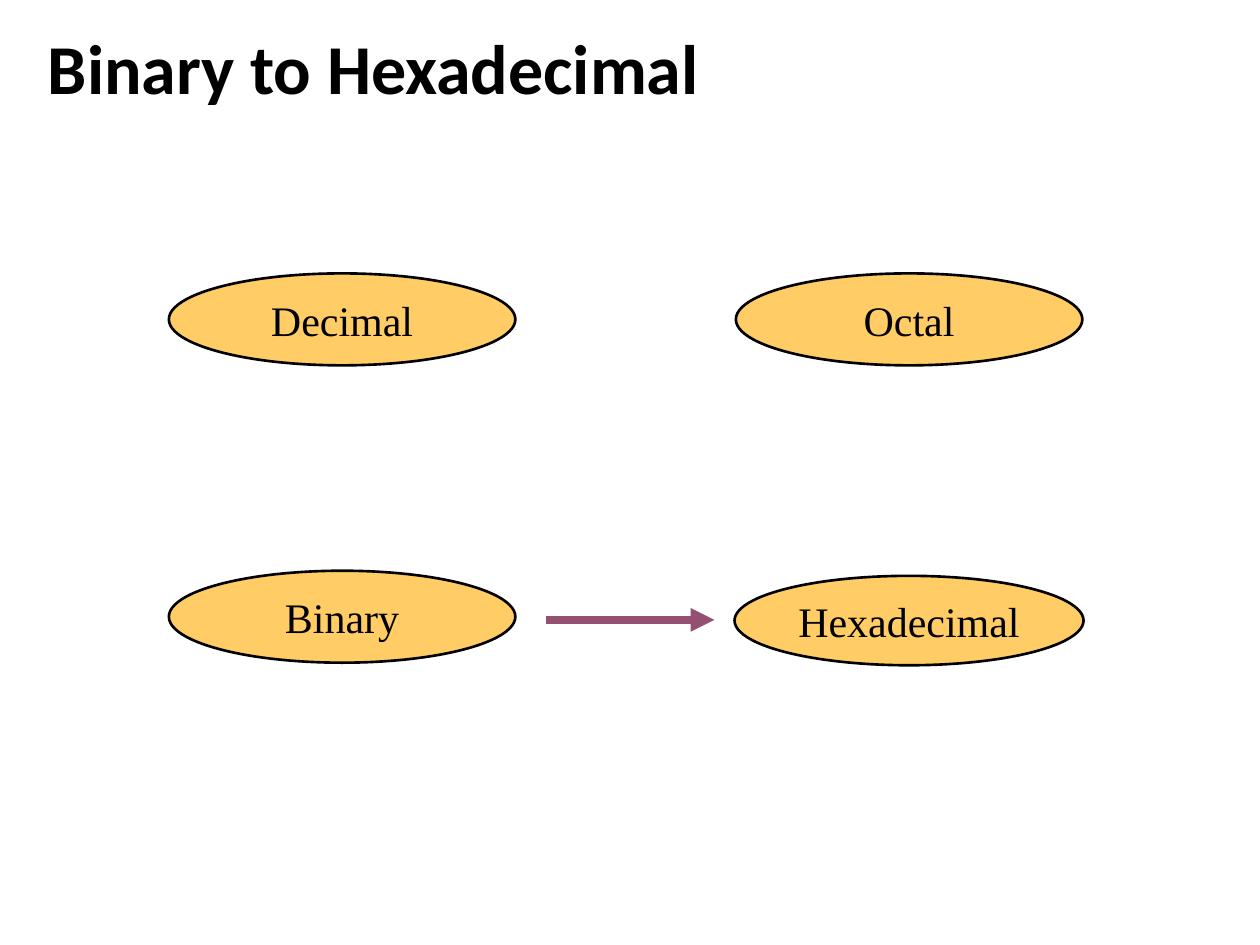
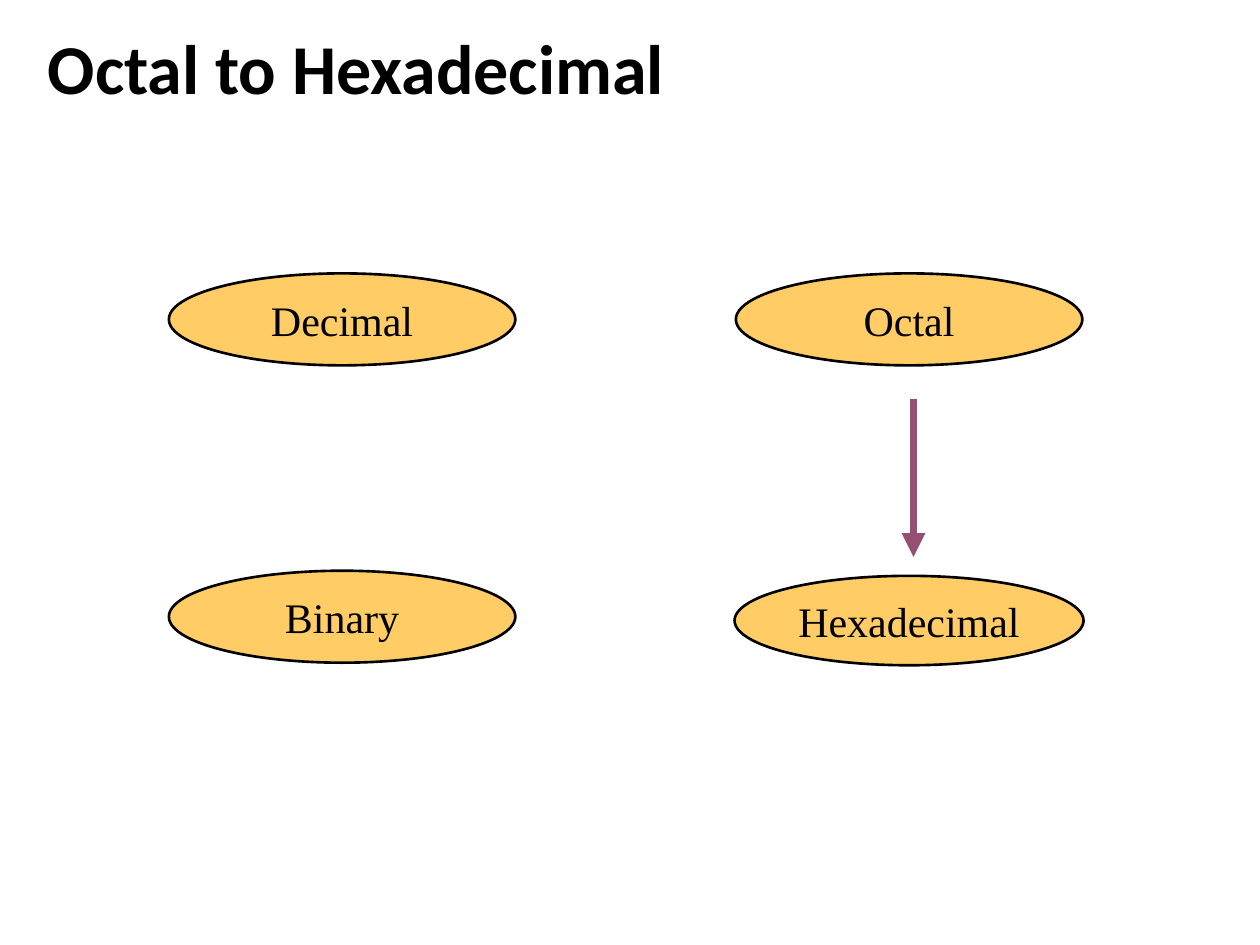
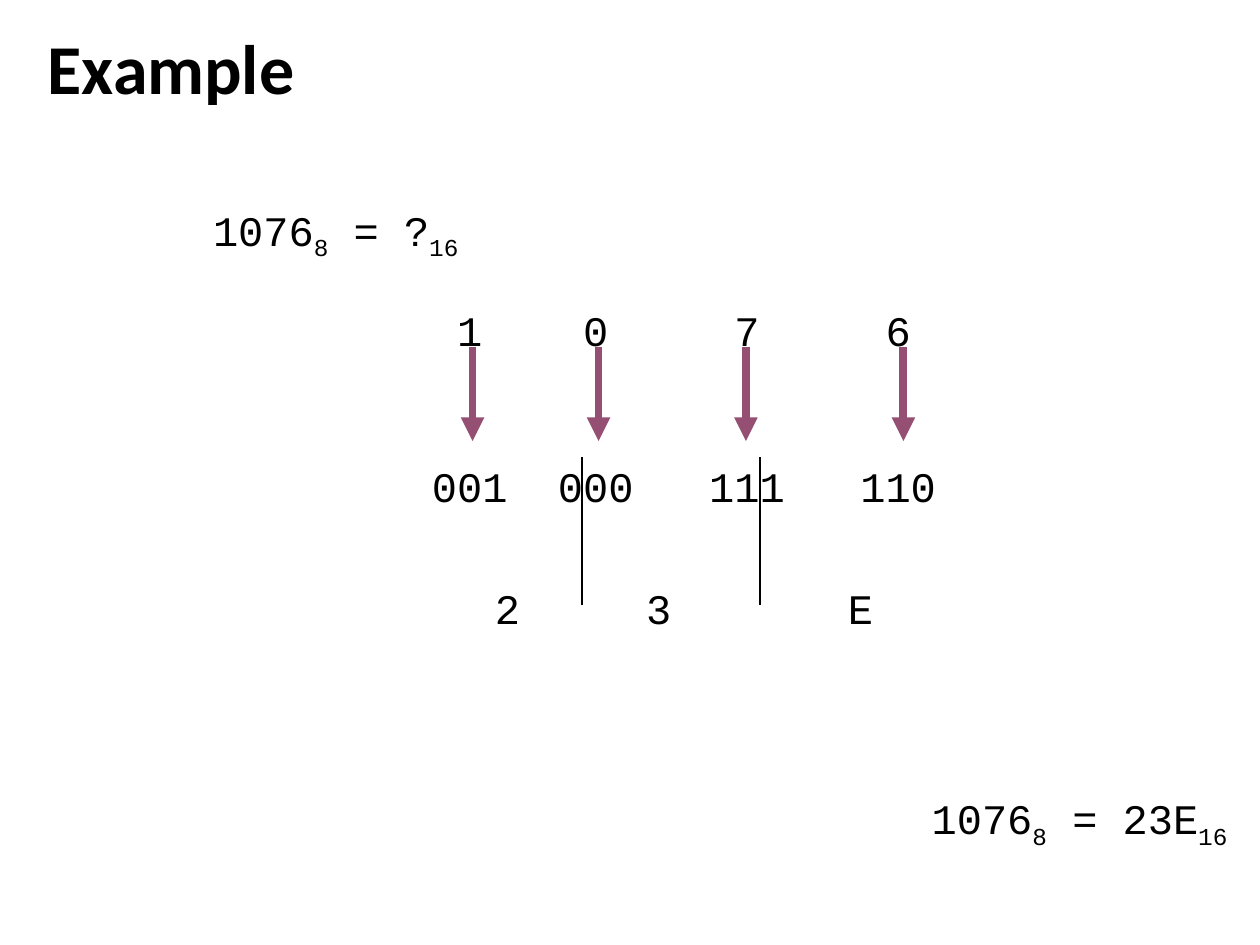
from dataclasses import dataclass, field

import pptx
import pptx.dml.color
import pptx.enum.shapes
import pptx.enum.text
import pptx.oxml
import pptx.oxml.ns
import pptx.presentation
import pptx.shapes.base
import pptx.slide
import pptx.text.text
import pptx.util

Inches = pptx.util.Inches
Pt = pptx.util.Pt
ALIGN = pptx.enum.text.PP_ALIGN
ANCHOR = pptx.enum.text.MSO_ANCHOR


@dataclass(frozen=True)
class Theme:
    ink: str = "000000"
    bubble: str = "FFCC66"
    arrow: str = "954F72"
    title_font: str = "Calibri"
    label_font: str = "Times New Roman"
    code_font: str = "Courier New"
    title_size: float = 40
    text_size: float = 24
    outline: float = 1.5
    arrow_width: float = 4.5
    divider_width: float = 1


@dataclass(frozen=True)
class Bubble:
    label: str
    left: float
    top: float
    width: float = 2.75
    height: float = 0.73


@dataclass(frozen=True)
class Stroke:
    start: tuple[float, float]
    end: tuple[float, float]
    is_arrow: bool = True


@dataclass(frozen=True)
class Span:
    text: str
    is_subscript: bool = False


@dataclass(frozen=True)
class Line:
    spans: list[Span]
    space_before: float = 0


@dataclass(frozen=True)
class CodeBox:
    left: float
    top: float
    width: float
    height: float
    lines: list[Line]
    align: ALIGN = ALIGN.LEFT
    centre_tabs: list[float] = field(default_factory=list)


THEME = Theme()

BUBBLES = [
    Bubble("Hexadecimal", 5.83, 4.57, 2.77, 0.71),
    Bubble("Decimal", 1.34, 2.17),
    Bubble("Octal", 5.84, 2.17),
    Bubble("Binary", 1.34, 4.53),
]

CONVERSIONS = {
    "Binary to Hexadecimal": Stroke((4.33, 4.92), (5.67, 4.92)),
    "Octal to Hexadecimal": Stroke((7.25, 3.17), (7.25, 4.42)),
}


def rgb(colour: str) -> pptx.dml.color.RGBColor:
    return pptx.dml.color.RGBColor.from_string(colour)


def add_span(para: pptx.text.text._Paragraph, text: str, font: str, size: float,
             bold: bool = False) -> pptx.text.text._Run:
    span = para.add_run()
    span.text = text
    span.font.name = font
    span.font.size = Pt(size)
    span.font.bold = bold
    span.font.color.rgb = rgb(THEME.ink)
    return span


def add_titled_page(deck: pptx.presentation.Presentation, title: str) -> pptx.slide.Slide:
    page = deck.slides.add_slide(deck.slide_layouts.get_by_name("Title Only"))
    box = page.shapes.title
    box.left, box.top, box.width, box.height = map(Inches, (0.28, 0, 9.35, 1.14))
    box.text_frame.vertical_anchor = ANCHOR.MIDDLE
    para = box.text_frame.paragraphs[0]
    para.alignment = ALIGN.LEFT
    para.line_spacing = 0.9
    add_span(para, title, THEME.title_font, THEME.title_size, bold=True)
    return page


def draw_bubble(page: pptx.slide.Slide, bubble: Bubble) -> None:
    shape = page.shapes.add_shape(
        pptx.enum.shapes.MSO_SHAPE.OVAL,
        *map(Inches, (bubble.left, bubble.top, bubble.width, bubble.height)))
    shape.shadow.inherit = False
    shape.fill.solid()
    shape.fill.fore_color.rgb = rgb(THEME.bubble)
    shape.line.color.rgb = rgb(THEME.ink)
    shape.line.width = Pt(THEME.outline)
    frame = shape.text_frame
    frame.word_wrap = False
    frame.vertical_anchor = ANCHOR.MIDDLE
    para = frame.paragraphs[0]
    para.alignment = ALIGN.CENTER
    add_span(para, bubble.label, THEME.label_font, THEME.text_size)


def draw_stroke(page: pptx.slide.Slide, stroke: Stroke) -> None:
    connector = page.shapes.add_connector(
        pptx.enum.shapes.MSO_CONNECTOR.STRAIGHT,
        *map(Inches, (*stroke.start, *stroke.end)))
    connector.line.color.rgb = rgb(THEME.arrow if stroke.is_arrow else THEME.ink)
    connector.line.width = Pt(THEME.arrow_width if stroke.is_arrow else THEME.divider_width)
    if stroke.is_arrow:
        head = pptx.oxml.parse_xml(
            f'<a:tailEnd {pptx.oxml.ns.nsdecls("a")} type="triangle"/>')
        connector.line._get_or_add_ln().append(head)
    connector._element.spPr.append(
        pptx.oxml.parse_xml(f'<a:effectLst {pptx.oxml.ns.nsdecls("a")}/>'))


def add_centre_tabs(para: pptx.text.text._Paragraph, stops: list[float]) -> None:
    tabs = "".join(f'<a:tab pos="{Inches(stop)}" algn="ctr"/>' for stop in stops)
    para._p.get_or_add_pPr().append(pptx.oxml.parse_xml(
        f'<a:tabLst {pptx.oxml.ns.nsdecls("a")}>{tabs}</a:tabLst>'))


def draw_code(page: pptx.slide.Slide, code: CodeBox) -> None:
    box = page.shapes.add_textbox(
        *map(Inches, (code.left, code.top, code.width, code.height)))
    frame = box.text_frame
    frame.word_wrap = True
    frame.margin_top = Inches(0.12)
    for index, line in enumerate(code.lines):
        para = frame.add_paragraph() if index else frame.paragraphs[0]
        para.alignment = code.align
        if line.space_before:
            para.space_before = Pt(line.space_before)
        if code.centre_tabs:
            add_centre_tabs(para, code.centre_tabs)
        for part in line.spans:
            span = add_span(para, part.text, THEME.code_font, THEME.text_size)
            if part.is_subscript:
                span.font._element.set("baseline", "-25000")


def equation(octal: str, hexadecimal: str) -> list[Line]:
    return [Line([Span(octal), Span("8", True),
                  Span(f" = {hexadecimal}"), Span("16", True)])]


def tabbed(cells: list[str], space_before: float = 0) -> Line:
    return Line([Span("".join(f"\t{cell}" for cell in cells))], space_before)


def build_example(deck: pptx.presentation.Presentation) -> None:
    page = add_titled_page(deck, "Example")
    digits = tabbed(["1", "0", "7", "6"])
    triplets = tabbed(["001", "000", "111", "110"], space_before=60)
    for code in (
        CodeBox(0.33, 1.5, 4.67, 0.56, equation("1076", "?"), ALIGN.CENTER),
        CodeBox(3.33, 2.3, 4.67, 3.05, [digits, triplets],
                centre_tabs=[0.3, 1.3, 2.5, 3.7]),
        CodeBox(3.83, 4.5, 3.58, 0.5, [tabbed(["2", "3", "E"])],
                centre_tabs=[0.1, 1.3, 2.9]),
        CodeBox(5.17, 6.17, 4.67, 0.56, equation("1076", "23E"), ALIGN.RIGHT),
    ):
        draw_code(page, code)
    for x in (3.75, 4.75, 5.92, 7.17):
        draw_stroke(page, Stroke((x, 2.75), (x, 3.5)))
    for x in (4.62, 6.03):
        draw_stroke(page, Stroke((x, 3.63), (x, 4.8), is_arrow=False))


def main() -> None:
    deck = pptx.Presentation()
    deck.slide_width, deck.slide_height = Inches(10), Inches(7.5)
    for title, arrow in CONVERSIONS.items():
        page = add_titled_page(deck, title)
        for bubble in BUBBLES:
            draw_bubble(page, bubble)
        draw_stroke(page, arrow)
    build_example(deck)
    deck.save("out.pptx")


if __name__ == "__main__":
    main()
